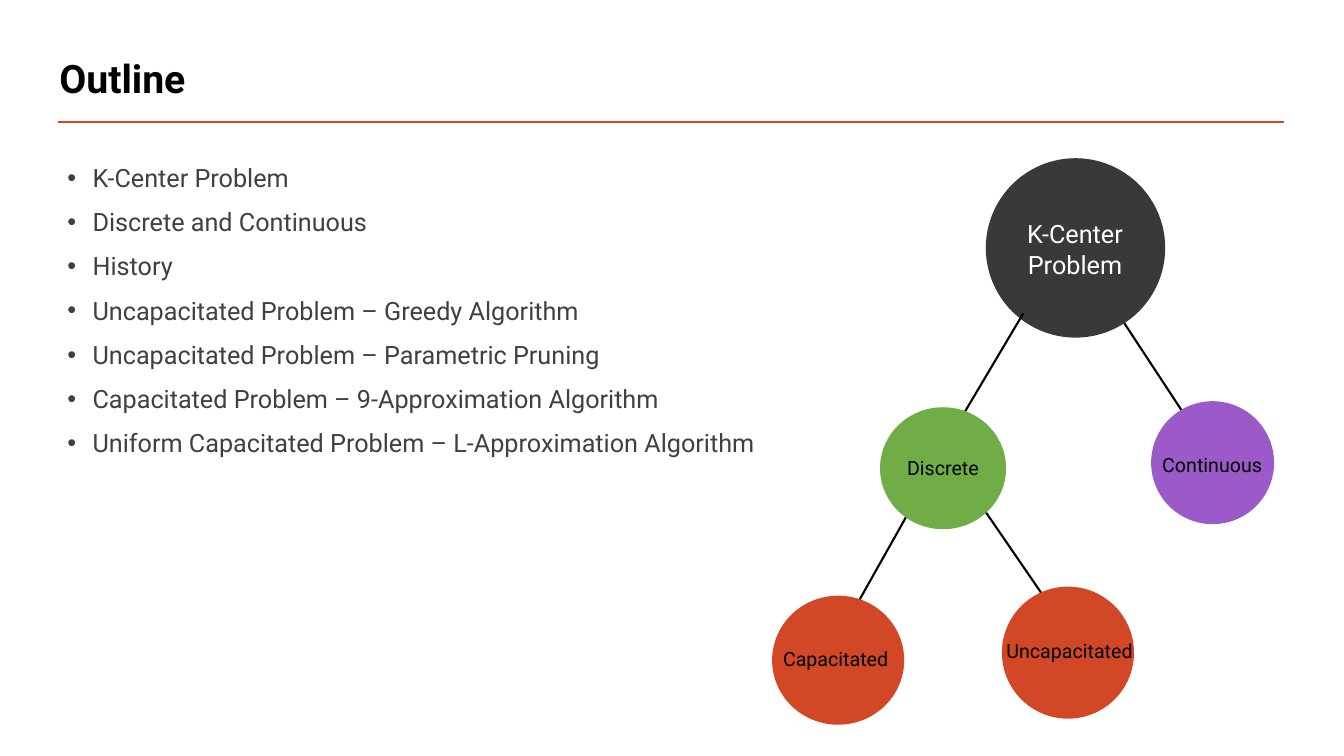
from dataclasses import dataclass

import lxml.etree
import pptx
import pptx.dml.color
import pptx.enum.shapes
import pptx.enum.text
import pptx.oxml.ns
import pptx.util


@dataclass(frozen=True)
class Theme:
    font: str = "Roboto"
    black: str = "000000"
    white: str = "FFFFFF"
    body: str = "404040"
    accent: str = "D24726"
    root: str = "3B3838"
    discrete: str = "70AD47"
    continuous: str = "9B5AC8"
    title_size: float = 28
    body_size: float = 18
    node_size: float = 14
    rule_width: float = 2
    branch_width: float = 1.5


THEME = Theme()
SLIDE_WIDTH = pptx.util.Inches(13.33)
SLIDE_HEIGHT = pptx.util.Inches(7.5)
ANCHOR = pptx.enum.text.MSO_ANCHOR
ALIGN = pptx.enum.text.PP_ALIGN

TOPICS = (
    "K-Center Problem",
    "Discrete and Continuous",
    "History",
    "Uncapacitated Problem – Greedy Algorithm",
    "Uncapacitated Problem – Parametric Pruning",
    "Capacitated Problem – 9-Approximation Algorithm",
    "Uniform Capacitated Problem – L-Approximation Algorithm",
)


def across(percent):
    return round(SLIDE_WIDTH * percent / 100)


def down(percent):
    return round(SLIDE_HEIGHT * percent / 100)


def place(area):
    left, top, width, height = area
    return across(left), down(top), across(width), down(height)


def rgb(color):
    return pptx.dml.color.RGBColor.from_string(color)


def add_line(slide, start, end, color, width):
    line = slide.shapes.add_connector(
        pptx.enum.shapes.MSO_CONNECTOR.STRAIGHT,
        across(start[0]), down(start[1]), across(end[0]), down(end[1]),
    )
    line.line.color.rgb = rgb(color)
    line.line.width = pptx.util.Pt(width)
    properties = line._element.spPr
    lxml.etree.SubElement(properties, pptx.oxml.ns.qn("a:effectLst"))


def add_branch(slide, start, end):
    add_line(slide, start, end, THEME.black, THEME.branch_width)


def add_text(slide, area, lines, size, color, bold=False,
             align=ALIGN.LEFT, anchor=ANCHOR.TOP):
    frame = slide.shapes.add_textbox(*place(area)).text_frame
    frame.word_wrap = True
    frame.vertical_anchor = anchor
    for index, line in enumerate(lines):
        paragraph = frame.paragraphs[0] if index == 0 else frame.add_paragraph()
        paragraph.alignment = align
        run = paragraph.add_run()
        run.text = line
        run.font.name = THEME.font
        run.font.size = pptx.util.Pt(size)
        run.font.bold = bold
        run.font.color.rgb = rgb(color)
    return frame


def add_bullets(slide, area, topics):
    frame = add_text(slide, area, topics, THEME.body_size, THEME.body)
    indent = pptx.util.Inches(0.25)
    for paragraph in frame.paragraphs:
        paragraph.space_before = pptx.util.Pt(10)
        properties = paragraph._p.get_or_add_pPr()
        properties.set("marL", str(indent))
        properties.set("indent", str(-indent))
        typeface = lxml.etree.SubElement(properties, pptx.oxml.ns.qn("a:buFont"))
        typeface.set("typeface", "Arial")
        bullet = lxml.etree.SubElement(properties, pptx.oxml.ns.qn("a:buChar"))
        bullet.set("char", "•")


def add_node(slide, circle_area, fill, label_area, label,
             size=THEME.node_size, color=THEME.black):
    circle = slide.shapes.add_shape(
        pptx.enum.shapes.MSO_SHAPE.OVAL, *place(circle_area))
    circle.shadow.inherit = False
    circle.fill.solid()
    circle.fill.fore_color.rgb = rgb(fill)
    circle.line.fill.background()
    add_text(slide, label_area, label, size, color, align=ALIGN.CENTER)


def add_problem_tree(slide):
    discrete_hub = (70.2, 59.6)
    add_branch(slide, discrete_hub, (79.58, 83.87))
    add_branch(slide, discrete_hub, (62.18, 84.93))
    add_branch(slide, (81.9, 38), (88.8, 56.67))
    add_node(slide, (73.35, 20.93, 13.35, 23.73), THEME.root,
             (74.55, 28.27, 10.88, 9.47), ("K-Center", "Problem"),
             THEME.body_size, THEME.white)
    add_branch(slide, (76.13, 41.47), (71.55, 55.2))
    add_node(slide, (65.48, 53.87, 9.38, 16.13), THEME.discrete,
             (65.25, 59.6, 9.83, 4.53), ("Discrete",))
    add_node(slide, (85.65, 53.07, 9.15, 16.27), THEME.continuous,
             (85.28, 59.2, 9.83, 4.53), ("Continuous",))
    add_node(slide, (57.45, 78.8, 9.83, 17.07), THEME.accent,
             (55.58, 84.93, 13.2, 4.53), ("Capacitated",))
    add_node(slide, (74.55, 77.6, 9.83, 17.47), THEME.accent,
             (72.98, 83.87, 13.2, 4.53), ("Uncapacitated",))


def main():
    presentation = pptx.Presentation()
    presentation.slide_width = SLIDE_WIDTH
    presentation.slide_height = SLIDE_HEIGHT
    slide = presentation.slides.add_slide(presentation.slide_layouts[6])
    add_line(slide, (4.35, 16.13), (95.55, 16.13), THEME.accent, THEME.rule_width)
    title = add_text(slide, (3.68, 6, 75, 9.33), ("Outline",), THEME.title_size,
                     THEME.black, bold=True, anchor=ANCHOR.MIDDLE)
    title.paragraphs[0].line_spacing = 0.9
    add_bullets(slide, (4.28, 20.8, 53.7, 58), TOPICS)
    add_problem_tree(slide)
    presentation.save("out.pptx")


if __name__ == "__main__":
    main()
